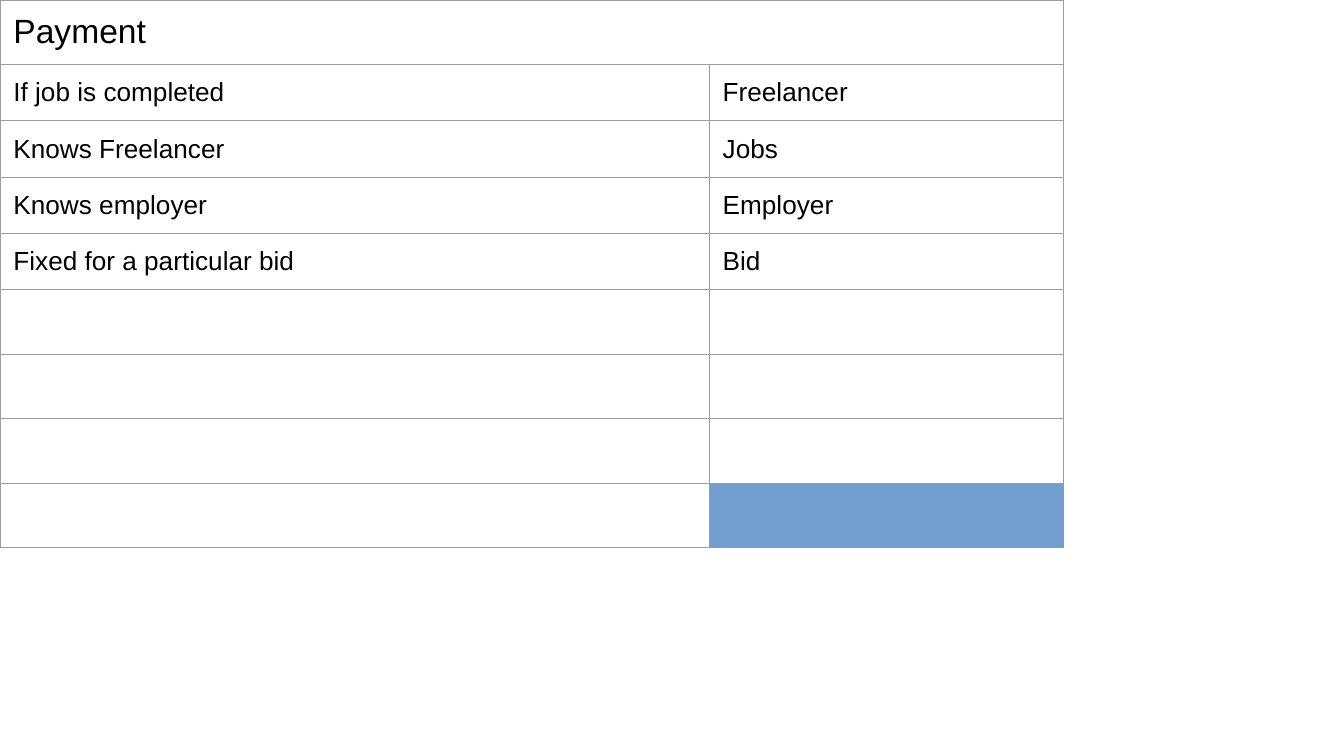
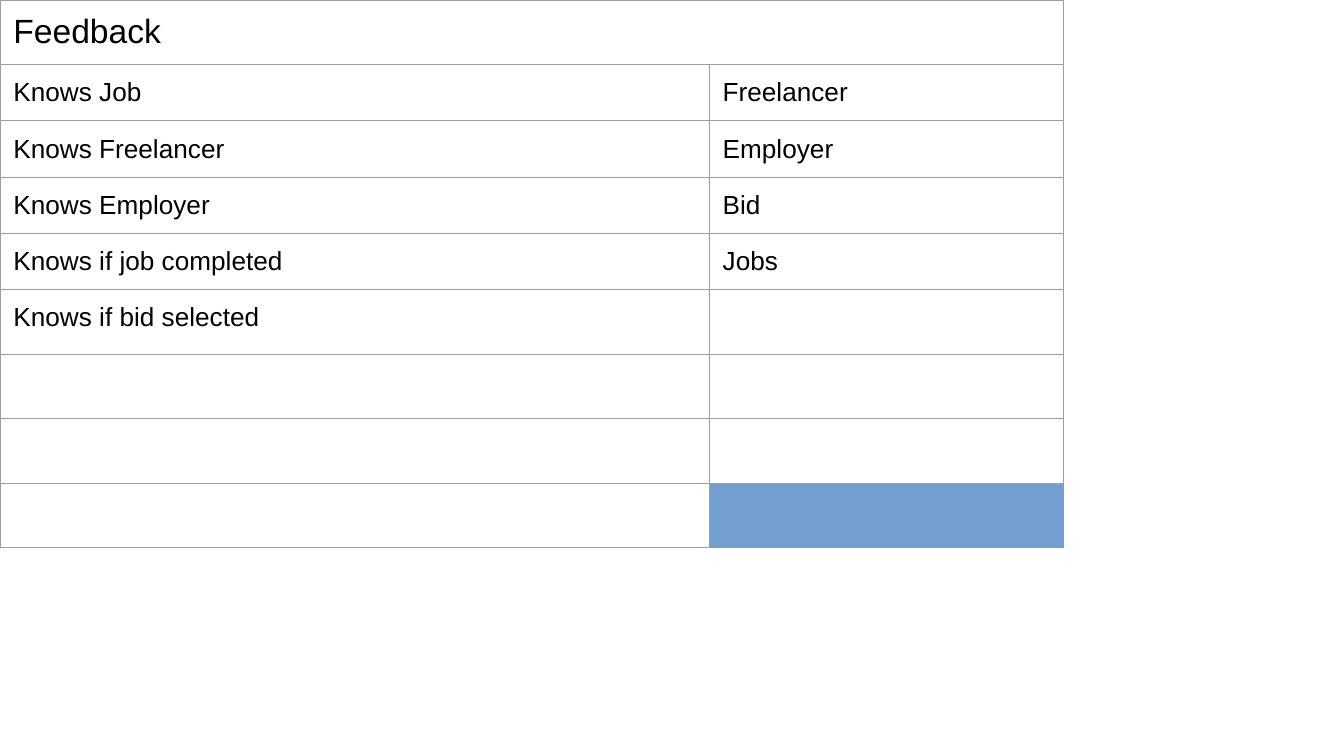
from lxml.etree import SubElement
from pptx import Presentation
from pptx.dml.color import RGBColor
from pptx.oxml.ns import qn
from pptx.util import Cm, Pt

HUES = {"text": "000000", "line": "9E9E9E", "mark": "729FCF"}
FONT = "Arial"
COLS, ROWS, SPLIT = 9, 9, 6
PAD = Cm(2.54) // 10
WIDE, HIGH = Cm(20.11) // COLS, Cm(1.06)

CARDS = [
    ("Payment",
     ["If job is completed", "Knows Freelancer", "Knows employer",
      "Fixed for a particular bid"],
     ["Freelancer", "Jobs", "Employer", "Bid"]),
    ("Feedback",
     ["Knows Job", "Knows Freelancer", "Knows Employer",
      "Knows if job completed", "Knows if bid selected"],
     ["Freelancer", "Employer", "Bid", "Jobs"]),
]


def edge(cell, hue):
    """Draw a thin line on all four sides of a cell."""
    props = cell._tc.get_or_add_tcPr()
    for i, side in enumerate(("lnL", "lnR", "lnT", "lnB")):
        line = SubElement(props, qn("a:" + side), w=str(Pt(0.75)))
        props.remove(line)
        props.insert(i, line)
        fill = SubElement(line, qn("a:solidFill"))
        SubElement(fill, qn("a:srgbClr"), val=HUES[hue])


def style(cell, mark):
    """Set padding, fill, borders and the font of an empty line."""
    cell.margin_left = cell.margin_right = PAD
    cell.margin_top = cell.margin_bottom = PAD
    if mark:
        cell.fill.solid()
        cell.fill.fore_color.rgb = RGBColor.from_string(HUES["mark"])
    else:
        cell.fill.background()
    edge(cell, "mark" if mark else "line")
    para = cell.text_frame.paragraphs[0]
    end = SubElement(para._p, qn("a:endParaRPr"), sz="1800")
    SubElement(end, qn("a:latin"), typeface=FONT)


def write(cell, text, size):
    run = cell.text_frame.paragraphs[0].add_run()
    run.text = text
    run.font.name = FONT
    run.font.size = Pt(size)
    run.font.color.rgb = RGBColor.from_string(HUES["text"])


def card(slide, left, top, side, name, tasks, peers):
    """Class card: name on top, duties on the left, partners on the right."""
    frame = slide.shapes.add_table(ROWS, COLS, left, top, side, side)
    table = frame.table
    table.first_row = table.horz_banding = False
    for col in table.columns:
        col.width = WIDE
    for row in table.rows:
        row.height = HIGH
    frame.width = frame.height = side

    # Looks of every cell; the last partner cell is marked
    for r in range(ROWS):
        for c in range(COLS):
            style(table.cell(r, c), r == ROWS - 1 and c >= SPLIT)

    # Spans
    table.cell(0, 0).merge(table.cell(0, COLS - 1))
    for r in range(1, ROWS):
        table.cell(r, 0).merge(table.cell(r, SPLIT - 1))
        table.cell(r, SPLIT).merge(table.cell(r, COLS - 1))

    # Text
    write(table.cell(0, 0), name, 18)
    for c, texts in ((0, tasks), (SPLIT, peers)):
        for r, text in enumerate(texts, 1):
            write(table.cell(r, c), text, 14)


deck = Presentation()
deck.slide_width, deck.slide_height = Cm(25.4), Cm(14.29)
for name, tasks, peers in CARDS:
    slide = deck.slides.add_slide(deck.slide_layouts[6])
    card(slide, Cm(2.65), Cm(2.38), Cm(8.33), name, tasks, peers)
deck.save("out.pptx")
